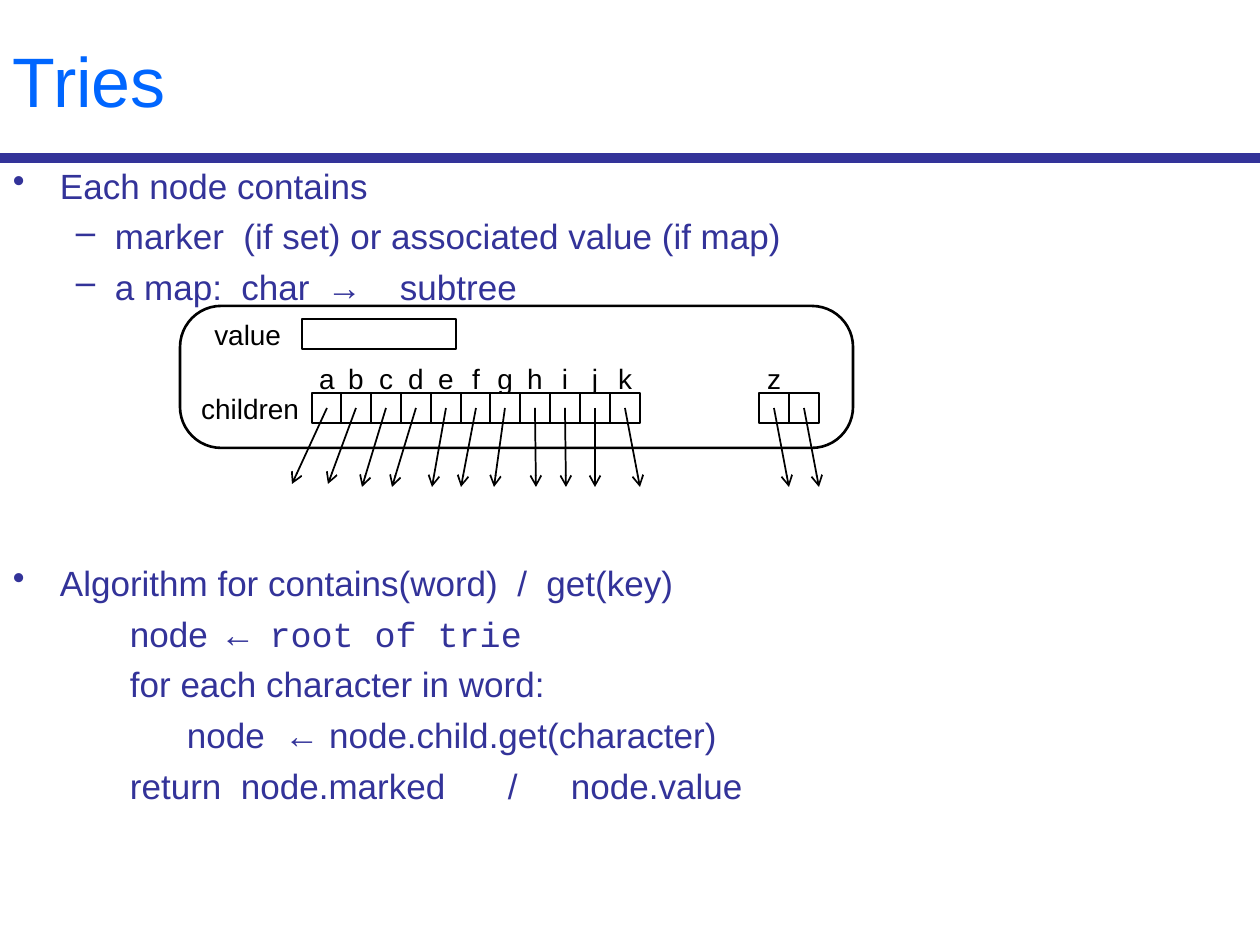
from dataclasses import dataclass

from lxml import etree
from pptx import Presentation
from pptx.dml.color import RGBColor
from pptx.enum.shapes import MSO_CONNECTOR, MSO_SHAPE
from pptx.enum.text import MSO_ANCHOR, PP_ALIGN
from pptx.oxml.ns import qn
from pptx.util import Pt

PIXEL = 914400 // 126
STRAIGHT = MSO_CONNECTOR.STRAIGHT
RECTANGLE, ROUNDED = MSO_SHAPE.RECTANGLE, MSO_SHAPE.ROUNDED_RECTANGLE
TOP, MIDDLE = MSO_ANCHOR.TOP, MSO_ANCHOR.MIDDLE
LEFT, CENTER, RIGHT = PP_ALIGN.LEFT, PP_ALIGN.CENTER, PP_ALIGN.RIGHT
COLORS = {"title": "0066FF", "body": "333399", "ink": "000000", "paper": "FFFFFF"}
SANS, MONO = "Arial", "Courier New"

# Array of children: eleven cells span ROW_WIDTH, later slots follow the same step
ROW_LEFT, ROW_WIDTH, ROW_CELLS = 312, 328, 11
CELL, LABEL_TOP, CELL_TOP, ARROW_TOP = 30, 363, 393, 408


@dataclass
class Line:
    spans: list[tuple[str, str]]
    margin: int
    indent: int = 0
    bullet: str = ""
    before: int = 5
    tabs: tuple[int, ...] = ()


@dataclass
class Child:
    slot: int
    label: str
    tip_x: int
    tip_y: int = 487

    @property
    def left(self) -> int:
        return ROW_LEFT + ROW_WIDTH * self.slot // ROW_CELLS


BULLET = {"margin": 47, "indent": -47, "bullet": "•"}
DASH = {"margin": 102, "indent": -39, "bullet": "–"}
STEP, INNER_STEP = {"margin": 117}, {"margin": 174}

LINES = [
    Line([("Each node contains", SANS)], **BULLET),
    Line([("marker  (if set) or associated value (if map)", SANS)], **DASH),
    Line([("a map:  char\t", SANS), ("→\t", MONO), ("subtree", SANS)],
         **DASH, tabs=(321, 387)),
    Line([("Algorithm for contains(word)  /  get(key)", SANS)], **BULLET, before=145),
    Line([("node  ", SANS), ("← root of trie", MONO)], **STEP),
    Line([("for each character in word:", SANS)], **STEP),
    Line([("node  ← node.child.get(character)", SANS)], **INNER_STEP),
    Line([("return  node.marked\t/\tnode.value", SANS)], **STEP, tabs=(491, 538)),
]

CHILDREN = [
    Child(0, "a", 292, 484), Child(1, "b", 328, 484), Child(2, "c", 362),
    Child(3, "d", 392), Child(4, "e", 432), Child(5, "f", 461),
    Child(6, "g", 494), Child(7, "h", 536), Child(8, "i", 566),
    Child(9, "j", 595), Child(10, "k", 640), Child(15, "z", 789),
    Child(16, "", 819),
]


def px(*lengths: int) -> list[int]:
    return [length * PIXEL for length in lengths]


def color(name: str) -> RGBColor:
    return RGBColor.from_string(COLORS[name])


def add_span(para, text: str, size: int, ink: str, font: str = SANS) -> None:
    span = para.add_run()
    span.text = text
    for name, value in {"size": Pt(size), "name": font}.items():
        setattr(span.font, name, value)
    span.font.color.rgb = color(ink)


def add_frame(page, area: tuple, anchor=TOP, margins: tuple = (13, 6)):
    frame = page.shapes.add_textbox(*px(*area)).text_frame
    across, down = px(*margins)
    settings = {"word_wrap": True, "vertical_anchor": anchor,
                "margin_left": across, "margin_right": across,
                "margin_top": down, "margin_bottom": down}
    for name, value in settings.items():
        setattr(frame, name, value)
    return frame


def add_label(page, text: str, area: tuple, align=CENTER) -> None:
    para = add_frame(page, area, MIDDLE, (0, 0)).paragraphs[0]
    para.alignment = align
    add_span(para, text, 16, "ink")


def add_line(para, line: Line) -> None:
    para.space_before = Pt(line.before)
    para.alignment = LEFT
    for text, font in line.spans:
        add_span(para, text, 20, "body", font)
    properties = para._p.get_or_add_pPr()
    properties.set("marL", str(line.margin * PIXEL))
    properties.set("indent", str(line.indent * PIXEL))
    if line.bullet:
        etree.SubElement(properties, qn("a:buChar"), char=line.bullet)
    if line.tabs:
        stops = etree.SubElement(properties, qn("a:tabLst"))
        for stop in line.tabs:
            etree.SubElement(stops, qn("a:tab"), pos=str(stop * PIXEL), algn="l")


def add_box(page, area: tuple, kind=RECTANGLE, filled: bool = True, width: float = 1):
    box = page.shapes.add_shape(kind, *px(*area))
    box.shadow.inherit = False
    if filled:
        box.fill.solid()
        box.fill.fore_color.rgb = color("paper")
    else:
        box.fill.background()
    box.line.color.rgb = color("ink")
    box.line.width = Pt(width)
    return box


def add_stroke(page, ends: tuple, ink: str, width: float, arrow: bool = False) -> None:
    stroke = page.shapes.add_connector(STRAIGHT, *px(*ends))
    stroke.line.color.rgb = color(ink)
    stroke.line.width = Pt(width)
    if arrow:
        etree.SubElement(stroke.line._get_or_add_ln(), qn("a:tailEnd"), type="arrow")
    etree.SubElement(stroke._element.spPr, qn("a:effectLst"))


def build() -> None:
    deck = Presentation()
    deck.slide_width, deck.slide_height = px(1260, 945)
    page = deck.slides.add_slide(deck.slide_layouts[6])

    # Title and rule
    add_stroke(page, (0, 158, 1260, 158), "body", 6)
    title = add_frame(page, (0, 0, 1260, 158), MIDDLE)
    add_span(title.paragraphs[0], "Tries", 40, "title")

    # Body text
    body = add_frame(page, (0, 158, 1260, 787))
    for index, line in enumerate(LINES):
        add_line(body.add_paragraph() if index else body.paragraphs[0], line)

    # Labels, then cells, then arrows
    for child in CHILDREN:
        if child.label:
            add_label(page, child.label, (child.left, LABEL_TOP, CELL, CELL))
    for child in CHILDREN:
        add_box(page, (child.left, CELL_TOP, CELL, CELL))
    for child in CHILDREN:
        start = child.left + CELL // 2
        add_stroke(page, (start, ARROW_TOP, child.tip_x, child.tip_y), "ink", 1, True)

    # Row names, value field and node outline
    add_label(page, "children", (188, CELL_TOP, 111, CELL), RIGHT)
    add_label(page, "value", (188, 319, 93, CELL), RIGHT)
    add_box(page, (302, 319, 154, CELL))
    outline = add_box(page, (180, 306, 673, 142), ROUNDED, False, 1.5)
    outline.adjustments[0] = 0.29

    deck.save("out.pptx")


build()
